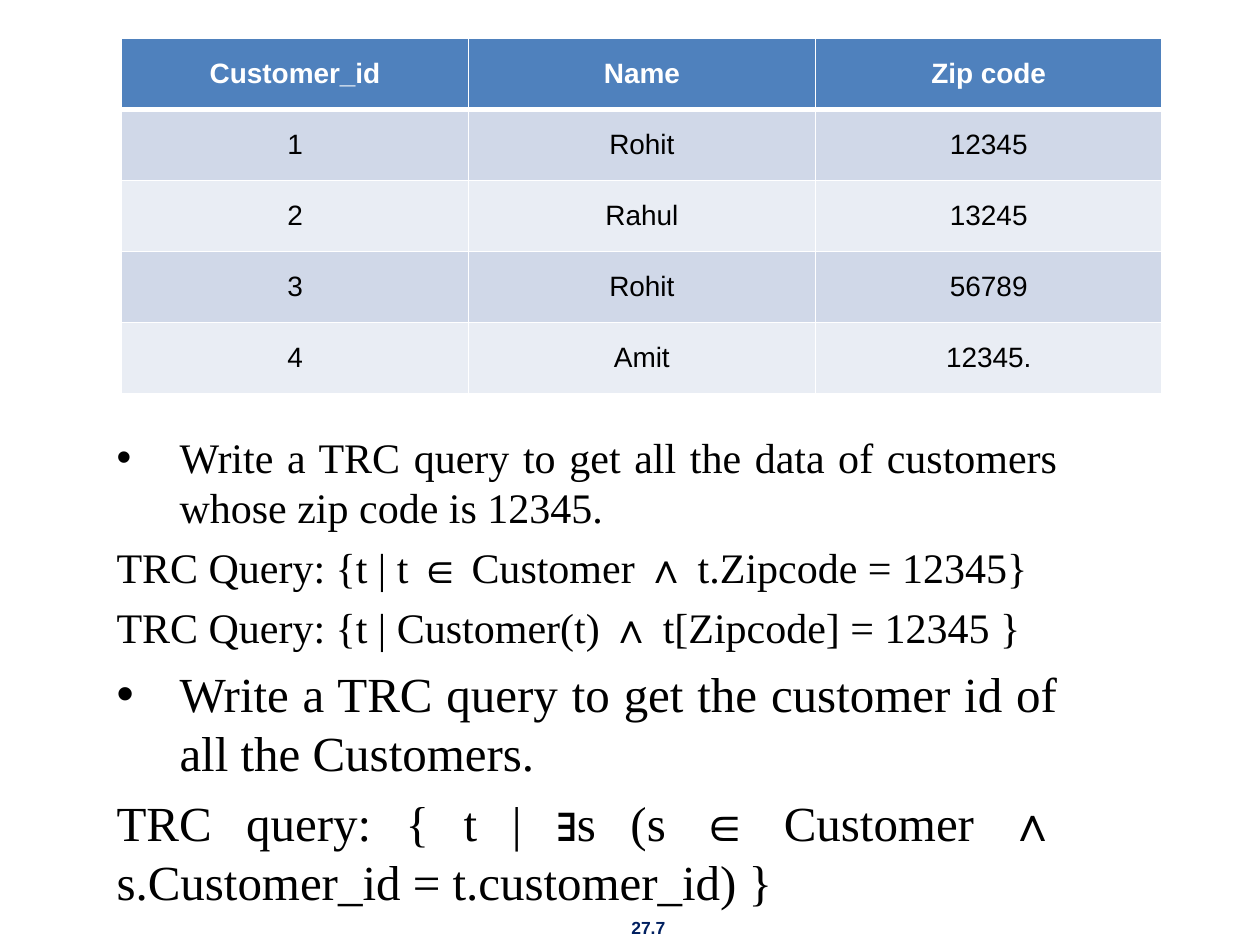
from lxml import etree
from pptx import Presentation
from pptx import util as u
from pptx.dml import color
from pptx.enum import text
from pptx.oxml import ns

HEADER = ["Customer_id", "Name", "Zip code"]
CUSTOMERS = [
    ["1", "Rohit", "12345"],
    ["2", "Rahul", "13245"],
    ["3", "Rohit", "56789"],
    ["4", "Amit", "12345."],
]
# Wording, size, space before, bulleted
QUERIES = [
    ("Write a TRC query to get all the data of customers whose zip code is 12345.", 24, 0, True),
    ("TRC Query: {t | t ∈ Customer ∧ t.Zipcode = 12345}", 24, 5.5, False),
    ("TRC Query: {t | Customer(t) ∧ t[Zipcode] = 12345 }", 24, 5.5, False),
    ("Write a TRC query to get the customer id of all the Customers.", 28, 6.5, True),
    ("TRC query: { t | ∃s (s ∈ Customer ∧ s.Customer_id = t.customer_id) }", 28, 6.5, False),
]


def rgb(value):
    return color.RGBColor.from_string(value)


class SlideBuilder:
    sans = "Arial"
    serif = "Times New Roman"
    black = "000000"
    white = "FFFFFF"
    navy = "002060"
    header_fill = "4F81BD"
    band_fills = ("D0D8E8", "E9EDF4")

    def __init__(self, slide):
        self.slide = slide

    def format_runs(self, paragraph, font, size, colour, bold=False):
        for run in paragraph.runs:
            run.font.name = font
            run.font.size = u.Pt(size)
            run.font.bold = bold
            run.font.color.rgb = rgb(colour)

    def text_frame(self, left, top, width, height, wrap=True):
        box = self.slide.shapes.add_textbox(*map(u.Pt, (left, top, width, height)))
        box.text_frame.word_wrap = wrap
        return box.text_frame

    def bullet(self, paragraph, indent):
        properties = paragraph._p.get_or_add_pPr()
        properties.set("marL", str(u.Pt(indent)))
        properties.set("indent", str(-u.Pt(indent)))
        font = etree.SubElement(properties, ns.qn("a:buFont"))
        font.set("typeface", self.sans)
        etree.SubElement(properties, ns.qn("a:buChar")).set("char", "•")

    def borders(self, cell, top, bottom):
        """Draw white cell borders; they must precede the cell's fill."""
        properties = cell._tc.get_or_add_tcPr()
        for side, width in (("L", 1), ("R", 1), ("T", top), ("B", bottom)):
            line = etree.SubElement(properties, ns.qn(f"a:ln{side}"), w=str(u.Pt(width)))
            fill = etree.SubElement(line, ns.qn("a:solidFill"))
            etree.SubElement(fill, ns.qn("a:srgbClr"), val=self.white)

    def table(self, rows, left, top, width, height):
        frame = self.slide.shapes.add_table(
            len(rows), len(rows[0]), *map(u.Pt, (left, top, width, height)))
        table = frame.table
        for row in table.rows:
            row.height = u.Pt(height / len(rows))
        for row_index, values in enumerate(rows):
            is_header = row_index == 0
            fill = self.header_fill if is_header else self.band_fills[(row_index - 1) % 2]
            for column_index, value in enumerate(values):
                cell = table.cell(row_index, column_index)
                self.borders(cell, 3 if row_index == 1 else 1, 3 if is_header else 1)
                cell.fill.solid()
                cell.fill.fore_color.rgb = rgb(fill)
                cell.vertical_anchor = text.MSO_ANCHOR.MIDDLE
                cell.text_frame.text = value
                paragraph = cell.text_frame.paragraphs[0]
                paragraph.alignment = text.PP_ALIGN.CENTER
                self.format_runs(paragraph, self.sans, 16,
                                 self.white if is_header else self.black, is_header)

    def queries(self, items, left, top, width, height):
        frame = self.text_frame(left, top, width, height)
        frame.text = "\n".join(item[0] for item in items)
        for paragraph, (_, size, space, bulleted) in zip(frame.paragraphs, items):
            if bulleted:
                self.bullet(paragraph, 36)
            paragraph.alignment = text.PP_ALIGN.JUSTIFY
            paragraph.space_before = u.Pt(space)
            self.format_runs(paragraph, self.serif, size, self.black)

    def page_number(self, label, left, top, width, height):
        frame = self.text_frame(left, top, width, height, wrap=False)
        frame.text = label
        paragraph = frame.paragraphs[0]
        paragraph.alignment = text.PP_ALIGN.CENTER
        self.format_runs(paragraph, self.sans, 10, self.navy, bold=True)


def main():
    presentation = Presentation()
    presentation.slide_width = u.Pt(720)
    presentation.slide_height = u.Pt(540)
    blank_layout = presentation.slide_layouts[6]
    builder = SlideBuilder(presentation.slides.add_slide(blank_layout))
    builder.page_number("27.7", 350, 520.5, 41, 19.5)
    builder.table([HEADER, *CUSTOMERS], 69.5, 22, 594.6, 203)
    builder.queries(QUERIES, 59.5, 243, 552, 131)
    presentation.save("out.pptx")


if __name__ == "__main__":
    main()
